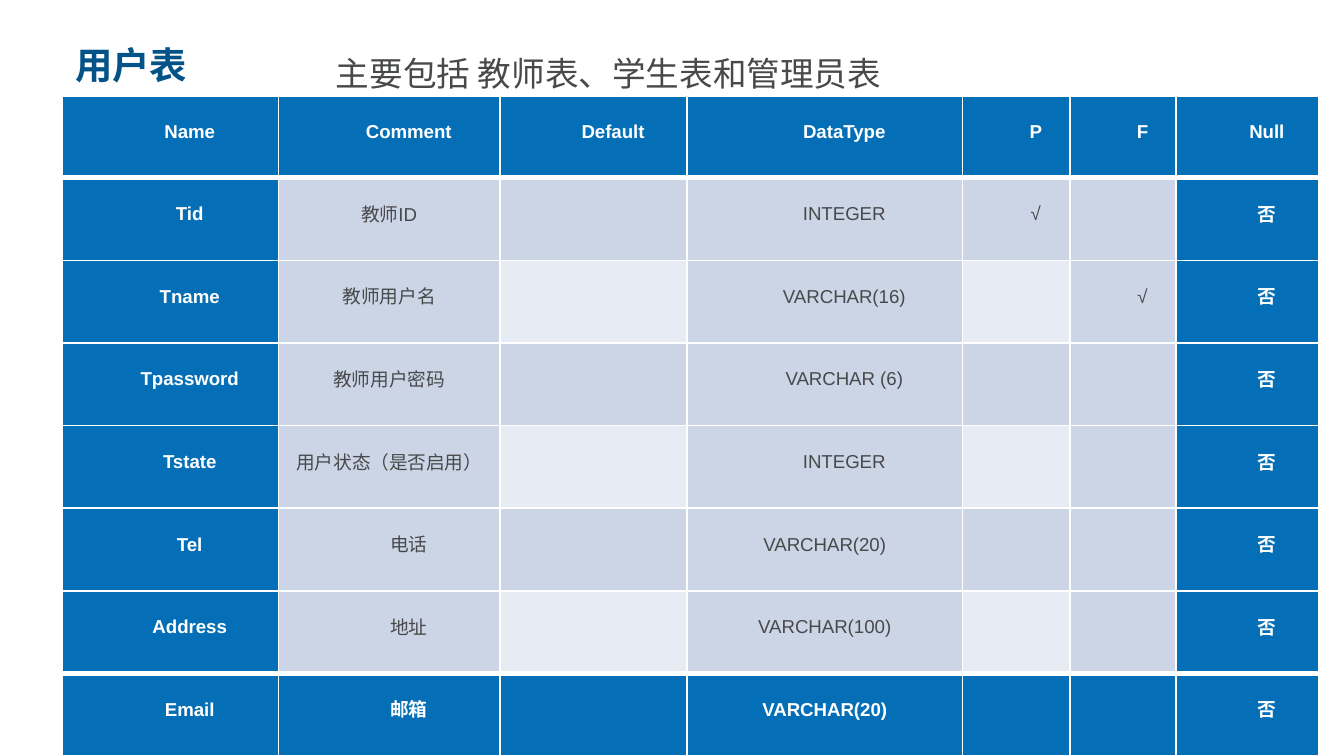
import pptx
import pptx.dml.color
import pptx.enum.text
import pptx.oxml.ns
import pptx.util
from lxml import etree

Cm = pptx.util.Cm
Pt = pptx.util.Pt
RGBColor = pptx.dml.color.RGBColor
ALIGN = pptx.enum.text.PP_ALIGN
ANCHOR = pptx.enum.text.MSO_ANCHOR

WHITE = RGBColor(0xFF, 0xFF, 0xFF)
NAVY = RGBColor(0x03, 0x53, 0x88)
BLUE = RGBColor(0x04, 0x6F, 0xB6)
BAND = RGBColor(0xCC, 0xD5, 0xE5)
PALE = RGBColor(0xE7, 0xEB, 0xF3)
GRAY = RGBColor(0x47, 0x49, 0x4B)

COLUMN_WIDTHS = [4.09, 4.19, 3.53, 5.21, 2.03, 2.01, 2.69]
HEADER_HEIGHT = 1.55
ROW_HEIGHT = 1.56
FIRST_LINE_INDENT = 0.74
FIELDS = [
    ["Name", "Comment", "Default", "DataType", "P", "F", "Null"],
    ["Tid", "教师ID", "", "INTEGER", "√", "", "否"],
    ["Tname", "教师用户名", "", "VARCHAR(16)", "", "√", "否"],
    ["Tpassword", "教师用户密码", "", "VARCHAR (6)", "", "", "否"],
    ["Tstate", "用户状态（是否启用）", "", "INTEGER", "", "", "否"],
    ["Tel", "电话", "", "VARCHAR(20)", "", "", "否"],
    ["Address", "地址", "", "VARCHAR(100)", "", "", "否"],
    ["Email", "邮箱", "", "VARCHAR(20)", "", "", "否"],
]
LAST_ROW = len(FIELDS) - 1
LAST_COLUMN = len(COLUMN_WIDTHS) - 1
UNINDENTED = {(row, 1) for row in range(1, 5)} | {(row, 3) for row in range(5, 8)}


def write_text(frame, text, *, size, color, font="Arial", bold=False,
               align=ALIGN.LEFT, spacing=1.0, indent=0):
    """Write one formatted paragraph into a text frame."""
    paragraph = frame.paragraphs[0]
    paragraph.alignment = align
    paragraph.line_spacing = spacing
    if indent:
        properties = paragraph._p.get_or_add_pPr()
        properties.set("marL", "0")
        properties.set("indent", str(Cm(indent)))
    run = paragraph.add_run()
    run.text = text
    run.font.name = font
    run.font.size = Pt(size)
    run.font.bold = bold
    run.font.color.rgb = color


def add_label(slide, box, text, anchor=ANCHOR.TOP, **text_format):
    """Add a wrapping text box in the given box."""
    frame = slide.shapes.add_textbox(*map(Cm, box)).text_frame
    frame.word_wrap = True
    frame.vertical_anchor = anchor
    write_text(frame, text, **text_format)


def set_borders(cell, **widths):
    """Draw white cell borders with the given widths in points."""
    properties = cell._tc.get_or_add_tcPr()
    qn = pptx.oxml.ns.qn
    for position, (side, width) in enumerate(widths.items()):
        line = etree.Element(qn(f"a:ln{side}"), w=str(Pt(width)))
        fill = etree.SubElement(line, qn("a:solidFill"))
        etree.SubElement(fill, qn("a:srgbClr"), val=str(WHITE))
        properties.insert(position, line)


def format_cell(cell, row, column):
    """Fill, border and write one cell according to its place in the table."""
    text = FIELDS[row][column]
    strong = row in (0, LAST_ROW)
    accent = strong or column in (0, LAST_COLUMN)
    pale = not text and row % 2 == 0 and column in (2, 4)
    cell.fill.solid()
    cell.fill.fore_color.rgb = BLUE if accent else PALE if pale else BAND
    set_borders(cell, L=1, R=1,
                T=3 if row in (1, LAST_ROW) else 1,
                B=3 if row in (0, LAST_ROW - 1) else 1)
    cell.vertical_anchor = ANCHOR.MIDDLE
    cell.margin_left = cell.margin_right = Cm(0.18)
    cell.margin_top = cell.margin_bottom = 0
    if text:
        indent = 0 if (row, column) in UNINDENTED else FIRST_LINE_INDENT
        write_text(cell.text_frame, text, size=10, bold=accent,
                   color=WHITE if accent else GRAY, align=ALIGN.CENTER,
                   spacing=0.25, indent=indent)


def add_heading(slide, box):
    """Add the slide title and the remark beside it."""
    left, top, width, height = box
    add_label(slide, box, "用户表", anchor=ANCHOR.BOTTOM, size=20,
              color=NAVY, font="Montserrat", bold=True, spacing=0.9)
    add_label(slide, (left + 4.93, top + 0.31, 15.8, 1.17),
              "主要包括 教师表、学生表和管理员表", size=18, color=GRAY, spacing=1.3)


def add_field_table(slide, box):
    """Add the table of user fields."""
    table = slide.shapes.add_table(
        len(FIELDS), len(COLUMN_WIDTHS), *map(Cm, box)).table
    for column, width in zip(table.columns, COLUMN_WIDTHS):
        column.width = Cm(width)
    for index, row in enumerate(table.rows):
        row.height = Cm(ROW_HEIGHT if index else HEADER_HEIGHT)
        for column, cell in enumerate(row.cells):
            format_cell(cell, index, column)


def main():
    """Build and save the presentation."""
    presentation = pptx.Presentation()
    presentation.slide_width = Cm(25.4)
    presentation.slide_height = Cm(14.28)
    slide = presentation.slides.add_slide(presentation.slide_layouts[6])
    add_heading(slide, (1.17, 0.33, 23.04, 1.45))
    add_field_table(slide, (1.17, 1.81, sum(COLUMN_WIDTHS),
                            HEADER_HEIGHT + LAST_ROW * ROW_HEIGHT))
    presentation.save("out.pptx")


if __name__ == "__main__":
    main()
